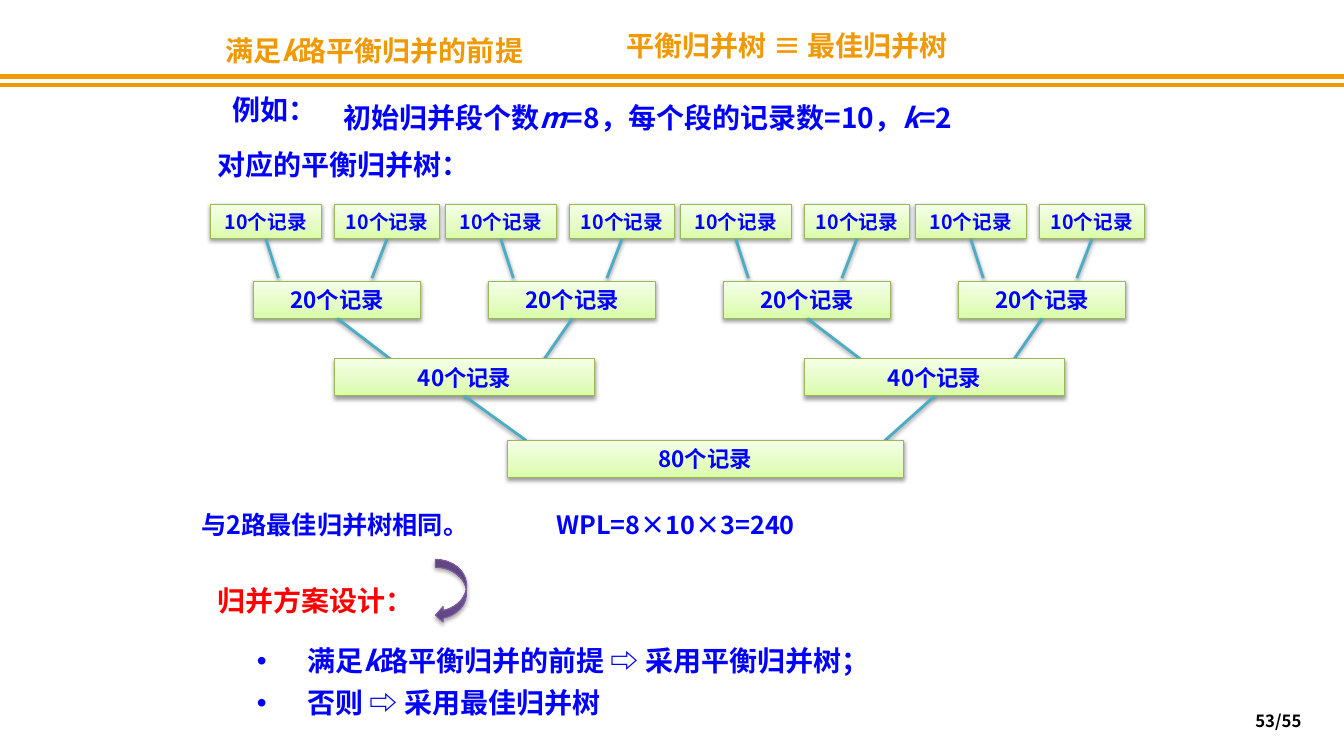
from dataclasses import dataclass

from lxml.etree import SubElement
from pptx import Presentation
from pptx.dml.color import RGBColor
from pptx.enum.shapes import MSO_CONNECTOR as Connector, MSO_SHAPE as Preset
from pptx.enum.text import MSO_ANCHOR as Anchor, PP_ALIGN as Align
from pptx.oxml import parse_xml
from pptx.oxml.ns import nsdecls, qn
from pptx.util import Pt

FONT = "Noto Sans CJK SC"
COLORS = {
    "orange": "F19903", "blue": "0000FF", "red": "FF0000", "black": "000000",
    "white": "FFFFFF", "branch": "4BACC6", "node_line": "98B955", "arrow_line": "7D60A0",
}
NODE_STOPS = ((0, "DAFDA7"), (35, "E4FCC2"), (100, "F5FFE7"))
ARROW_STOPS = ((0, "5F4480"), (80, "7B58A6"), (100, "7C57A8"))
PAIR_PITCH = 167.83  # distance between neighbouring pairs of runs


@dataclass
class Label:
    text: str  # parts between asterisks are italic
    left: float
    top: float
    width: float
    height: float = 31.7
    size: float = 20
    color: str = "blue"
    align: Align = Align.LEFT


@dataclass
class Node:
    text: str
    left: float
    top: float
    width: float
    height: float
    size: float
    margin: float  # left and right inset
    count: int
    pitch: float
    ends: tuple  # x where each branch of the first one or two nodes ends
    end_y: float = 0


LABELS = (
    Label("满足*k*路平衡归并的前提", 154.1, 20.2, 286.6, color="orange"),
    Label("平衡归并树 ≡ 最佳归并树", 440.6, 16.6, 343.4, color="orange"),
    Label("例如：", 159.1, 61.9, 106.6),
    Label("初始归并段个数*m*=8，每个段的记录数=10，*k*=2", 238.3, 67.7, 506.2),
    Label("对应的平衡归并树：", 148.3, 101.5, 219.6),
    Label("与2路最佳归并树相同。", 136.8, 360, 236.2, 28.8, 18),
    Label("WPL=8×10×3=240", 390.2, 360, 236.2, 28.8, 18),
    Label("归并方案设计：", 148.3, 413.3, 180, color="red"),
    Label("53/55", 712.8, 500.4, 223.9, 28.8, 12, "black", Align.RIGHT),
)
NODES = (
    Node("10个记录", 150.3, 146.2, 79.2, 24.5, 14, 7.2, 4, PAIR_PITCH, (198.9,), 198.7),
    Node("10个记录", 239, 146.2, 74.9, 24.5, 14, 0, 4, PAIR_PITCH, (265.7,), 198.7),
    Node("20个记录", 181.2, 200.9, 119.5, 26.6, 16, 7.2, 4, PAIR_PITCH, (278.7, 388.9), 256.3),
    Node("40个记录", 239, 256.3, 185.8, 26.6, 16, 7.2, 2, 2 * PAIR_PITCH, (375.8, 632.2), 314.6),
    Node("80个记录", 362.2, 314.6, 283, 26.6, 16, 7.2, 1, 0, ()),
)
CONCLUSIONS = ("满足*k*路平衡归并的前提 ⇨ 采用平衡归并树；", "否则 ⇨ 采用最佳归并树")


def rgb(name: str) -> RGBColor:
    return RGBColor.from_string(COLORS[name])


def write(paragraph, text: str, size: float, color: str) -> None:
    for index, part in enumerate(text.split("*")):
        run = paragraph.add_run()
        run.text = part
        values = {"name": FONT, "size": Pt(size), "bold": True, "italic": index % 2 == 1}
        for key, value in values.items():
            setattr(run.font, key, value)
        run.font.color.rgb = rgb(color)
        east_asian = SubElement(run.font._element, qn("a:ea"))
        east_asian.set("typeface", FONT)


def set_frame(shape, margin: float = 7.2):
    frame = shape.text_frame
    values = {"word_wrap": True, "vertical_anchor": Anchor.MIDDLE,
              "margin_left": Pt(margin), "margin_right": Pt(margin)}
    for key, value in values.items():
        setattr(frame, key, value)
    return frame


def add_shadow(shape, alpha: int = 38, distance: float = 1.6) -> None:
    properties = shape._element.spPr
    effects = properties.find(qn("a:effectLst"))
    if effects is None:
        effects = SubElement(properties, qn("a:effectLst"))
    effects.append(parse_xml(
        f'<a:outerShdw {nsdecls("a")} blurRad="{Pt(3.1)}" dist="{Pt(distance)}" dir="5400000" '
        f'rotWithShape="0"><a:srgbClr val="000000"><a:alpha val="{alpha * 1000}"/>'
        f'</a:srgbClr></a:outerShdw>'))


def add_gradient_shape(slide, preset: Preset, box: tuple, stops: tuple, line: str):
    shape = slide.shapes.add_shape(preset, *map(Pt, box))
    shape.shadow.inherit = False
    shape.line.color.rgb = rgb(line)
    shape.line.width = Pt(0.75)
    marks = "".join(f'<a:gs pos="{place * 1000}"><a:srgbClr val="{color}"/></a:gs>'
                    for place, color in stops)
    shape._element.spPr.find(qn("a:ln")).addprevious(parse_xml(
        f'<a:gradFill {nsdecls("a")} rotWithShape="1"><a:gsLst>{marks}</a:gsLst>'
        f'<a:lin ang="16200000" scaled="0"/></a:gradFill>'))
    return shape


def add_line(slide, points: tuple, color: str, width: float):
    line = slide.shapes.add_connector(Connector.STRAIGHT, *map(Pt, points))
    line.line.color.rgb = rgb(color)
    line.line.width = Pt(width)
    SubElement(line._element.spPr, qn("a:effectLst"))
    return line


def add_label(slide, label: Label) -> None:
    box = (label.left, label.top, label.width, label.height)
    paragraph = set_frame(slide.shapes.add_textbox(*map(Pt, box))).paragraphs[0]
    paragraph.alignment = label.align
    write(paragraph, label.text, label.size, label.color)


def add_nodes(slide, node: Node) -> None:
    for index in range(node.count):
        left = node.left + index * node.pitch
        shape = add_gradient_shape(slide, Preset.RECTANGLE, (left, node.top, node.width, node.height),
                                   NODE_STOPS, "node_line")
        add_shadow(shape)
        paragraph = set_frame(shape, node.margin).paragraphs[0]
        paragraph.alignment = Align.CENTER
        write(paragraph, node.text, node.size, "blue")
        if node.ends:
            group, member = divmod(index, len(node.ends))
            end_x = node.ends[member] + group * len(node.ends) * node.pitch
            start = (left + node.width / 2, node.top + node.height)
            branch = add_line(slide, (*start, end_x, node.end_y), "branch", 2)
            branch.begin_connect(shape, 2)
            add_shadow(branch)


def add_conclusions(slide) -> None:
    panel = slide.shapes.add_shape(Preset.RECTANGLE, Pt(176.4), Pt(450), Pt(528.5), Pt(67.7))
    panel.shadow.inherit = False
    panel.fill.solid()
    panel.fill.fore_color.rgb = rgb("white")
    panel.line.fill.background()
    frame = set_frame(panel)
    for index, text in enumerate(CONCLUSIONS):
        paragraph = frame.add_paragraph() if index else frame.paragraphs[0]
        paragraph.alignment = Align.LEFT
        paragraph.line_spacing = Pt(30)
        properties = paragraph._p.get_or_add_pPr()
        properties.set("marL", str(Pt(36)))
        properties.set("indent", str(Pt(-36)))
        SubElement(properties, qn("a:buFont")).set("typeface", "Arial")
        SubElement(properties, qn("a:buChar")).set("char", "•")
        write(paragraph, text, 20, "blue")


def main() -> None:
    presentation = Presentation()
    presentation.slide_width, presentation.slide_height = Pt(960), Pt(540)
    slide = presentation.slides.add_slide(presentation.slide_layouts[6])

    # Double rule under the title
    for y in (54.7, 60.5):
        add_line(slide, (0, y, 960, y), "orange", 3)

    # Merge tree
    for node in NODES:
        add_nodes(slide, node)

    # Titles, captions and page number
    for label in LABELS:
        add_label(slide, label)

    # Curved arrow and conclusions
    arrow = add_gradient_shape(slide, Preset.CURVED_LEFT_ARROW, (311, 399.6, 22.3, 45.4),
                               ARROW_STOPS, "arrow_line")
    add_shadow(arrow, 35, 1.8)
    add_conclusions(slide)

    presentation.save("out.pptx")


if __name__ == "__main__":
    main()
